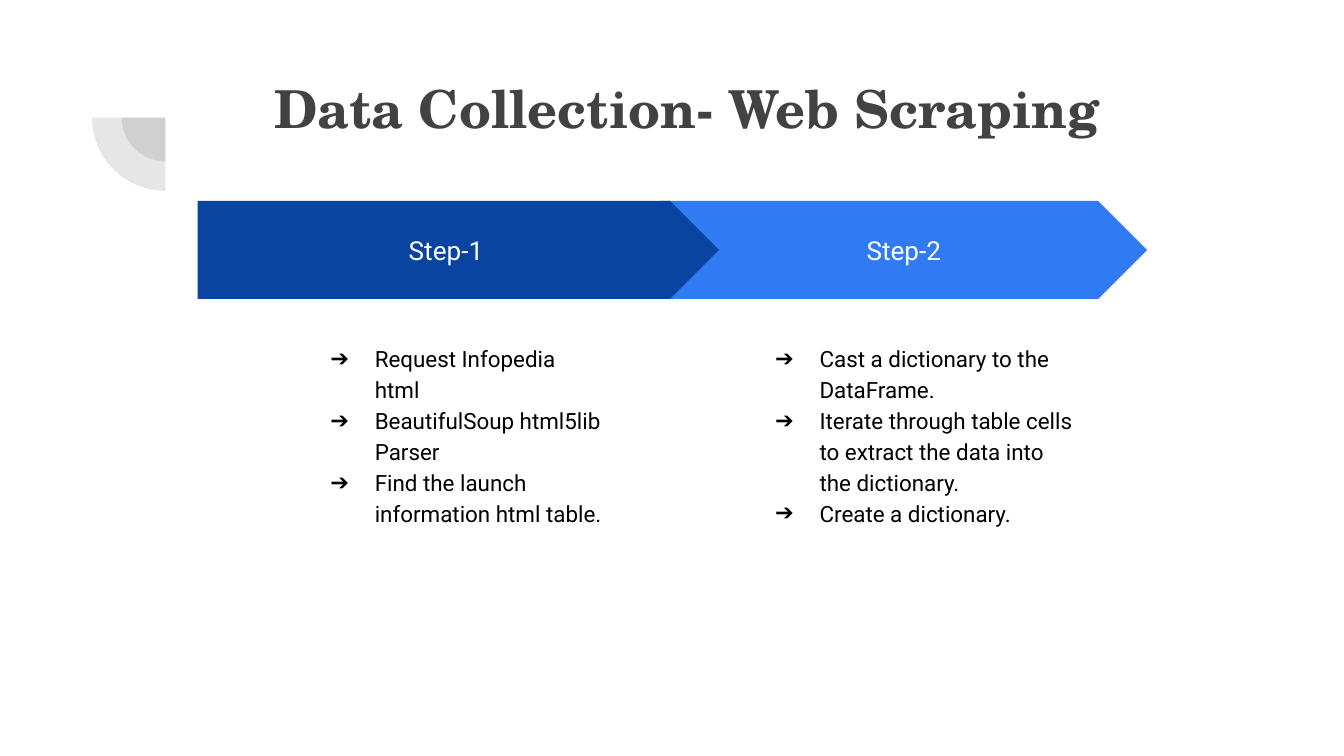
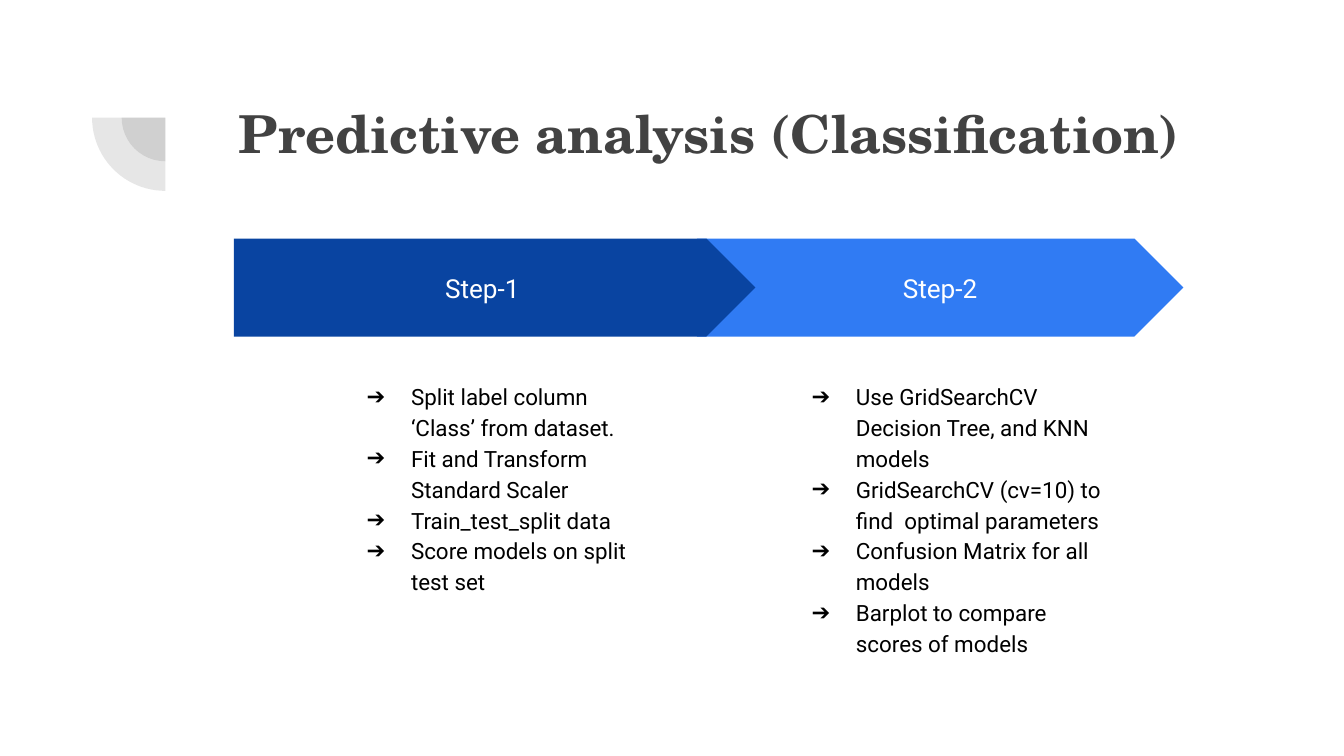
from lxml import etree
from pptx import Presentation
from pptx.dml.color import RGBColor
from pptx.enum.shapes import MSO_SHAPE
from pptx.enum.text import MSO_ANCHOR, MSO_AUTO_SIZE, PP_ALIGN
from pptx.oxml.ns import qn
from pptx.util import Inches, Pt

CELL = Inches(0.1)
COLUMNS, ROWS = 100, 56.25
COLORS = {
    "title": "424242",
    "first": "0944A1",
    "second": "307BF3",
    "label": "FFFFFF",
    "body": "000000",
}
TITLE_FONT, BODY_FONT = "TeX Gyre Schola", "Roboto"
BAND_HEIGHT = 7.3
BULLETS_DROP, BULLETS_HEIGHT = 9.45, 21.5


def cells(*lengths):
    return [round(length * CELL) for length in lengths]


def style_paragraph(paragraph, font, size, color, bold=False, align=PP_ALIGN.LEFT):
    paragraph.alignment = align
    for run in paragraph.runs:
        run.font.name = font
        run.font.size = Pt(size)
        run.font.bold = bold
        run.font.color.rgb = RGBColor.from_string(COLORS[color])


def set_frame(text_frame, anchor):
    text_frame.word_wrap = True
    text_frame.auto_size = MSO_AUTO_SIZE.NONE
    text_frame.vertical_anchor = anchor
    text_frame.margin_left = text_frame.margin_right = CELL
    text_frame.margin_top = text_frame.margin_bottom = CELL


def add_filled(slide, kind, box, color):
    shape = slide.shapes.add_shape(kind, *cells(*box))
    shape.shadow.inherit = False
    shape.fill.solid()
    shape.fill.fore_color.rgb = RGBColor.from_string(COLORS[color])
    shape.line.fill.background()
    return shape


def add_quarter_disc(slide, center, diameter):
    left, top = (middle - diameter / 2 for middle in center)
    disc = add_filled(slide, MSO_SHAPE.PIE, (left, top, diameter, diameter), "title")
    disc.rotation = 270
    disc.adjustments[0] = 107.93
    disc.adjustments[1] = 162
    color = disc._element.spPr.find(qn("a:solidFill"))[0]
    etree.SubElement(color, qn("a:alpha")).set("val", "13000")


def set_title(slide, text, box):
    title = slide.shapes.title
    title.left, title.top, title.width, title.height = cells(*box)
    title.text_frame.text = text
    set_frame(title.text_frame, MSO_ANCHOR.TOP)
    style_paragraph(title.text_frame.paragraphs[0], TITLE_FONT, 28, "title", True, PP_ALIGN.CENTER)


def add_step(slide, kind, label, box, color):
    step = add_filled(slide, kind, box, color)
    step.adjustments[0] = 0.5
    step.text_frame.text = label
    set_frame(step.text_frame, MSO_ANCHOR.MIDDLE)
    style_paragraph(step.text_frame.paragraphs[0], BODY_FONT, 14, "label", align=PP_ALIGN.CENTER)


def add_arrow_bullet(paragraph):
    properties = paragraph._p.get_or_add_pPr()
    properties.set("marL", str(Inches(0.5)))
    properties.set("indent", str(Inches(-0.33)))
    bullet_color = etree.SubElement(properties, qn("a:buClr"))
    etree.SubElement(bullet_color, qn("a:srgbClr")).set("val", COLORS["body"])
    etree.SubElement(properties, qn("a:buFont")).set("typeface", BODY_FONT)
    etree.SubElement(properties, qn("a:buChar")).set("char", "➔")


def add_bullets(slide, items, box):
    text_frame = slide.shapes.add_textbox(*cells(*box)).text_frame
    text_frame.text = "\n".join(items)
    set_frame(text_frame, MSO_ANCHOR.TOP)
    for paragraph in text_frame.paragraphs:
        style_paragraph(paragraph, BODY_FONT, 12, "body")
        paragraph.line_spacing = 1.15
        add_arrow_bullet(paragraph)


def add_process_slide(presentation, title, title_box, origin, first_items, second_items):
    slide = presentation.slides.add_slide(presentation.slide_layouts[5])
    for diameter in (6.5, 10.9):
        add_quarter_disc(slide, (12.3, 8.75), diameter)
    set_title(slide, title, title_box)
    left, top = origin
    steps = [
        (MSO_SHAPE.CHEVRON, "Step-2", "second", 34.45, 36.2, 40.3, 26.3, second_items),
        (MSO_SHAPE.PENTAGON, "Step-1", "first", 0, 38.8, 7.2, 24.1, first_items),
    ]
    for kind, label, color, step_left, step_width, text_left, text_width, items in steps:
        add_step(slide, kind, label, (left + step_left, top, step_width, BAND_HEIGHT), color)
        add_bullets(slide, items, (left + text_left, top + BULLETS_DROP, text_width, BULLETS_HEIGHT))


def main():
    presentation = Presentation()
    presentation.slide_width, presentation.slide_height = cells(COLUMNS, ROWS)
    add_process_slide(
        presentation,
        "Data Collection- Web Scraping",
        (12.65, 4.65, 76.9, 7.7),
        (14.7, 14.95),
        ["Request Infopedia html", "BeautifulSoup html5lib Parser",
         "Find the launch information html table."],
        ["Cast a dictionary to the DataFrame.",
         "Iterate through table cells to extract the data into the dictionary.",
         "Create a dictionary."],
    )
    add_process_slide(
        presentation,
        "Predictive analysis (Classification)",
        (14.3, 6.5, 76.9, 7.3),
        (17.4, 17.75),
        ["Split label column ‘Class’ from dataset.", "Fit and Transform Standard Scaler",
         "Train_test_split data", "Score models on split test set"],
        ["Use GridSearchCV Decision Tree, and KNN models",
         "GridSearchCV (cv=10) to find  optimal parameters",
         "Confusion Matrix for all models", "Barplot to compare  scores of models"],
    )
    presentation.save("out.pptx")


if __name__ == "__main__":
    main()
